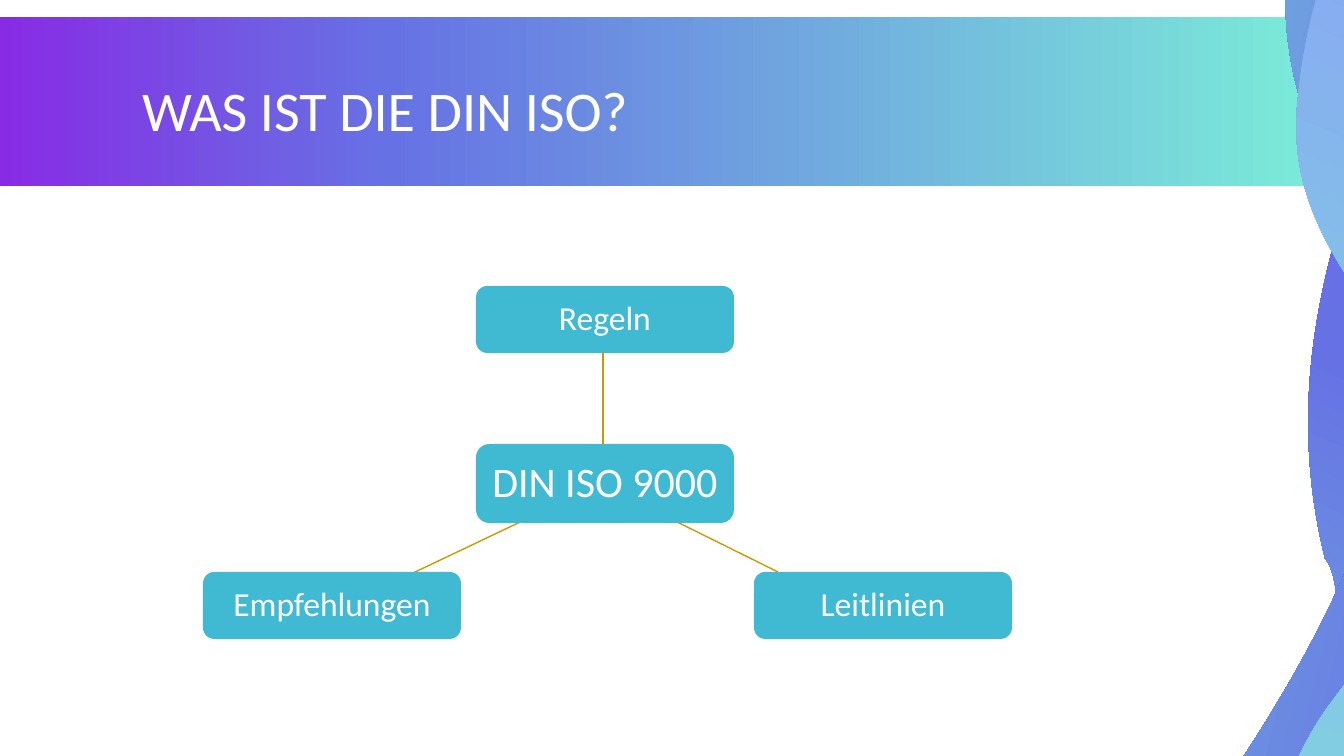
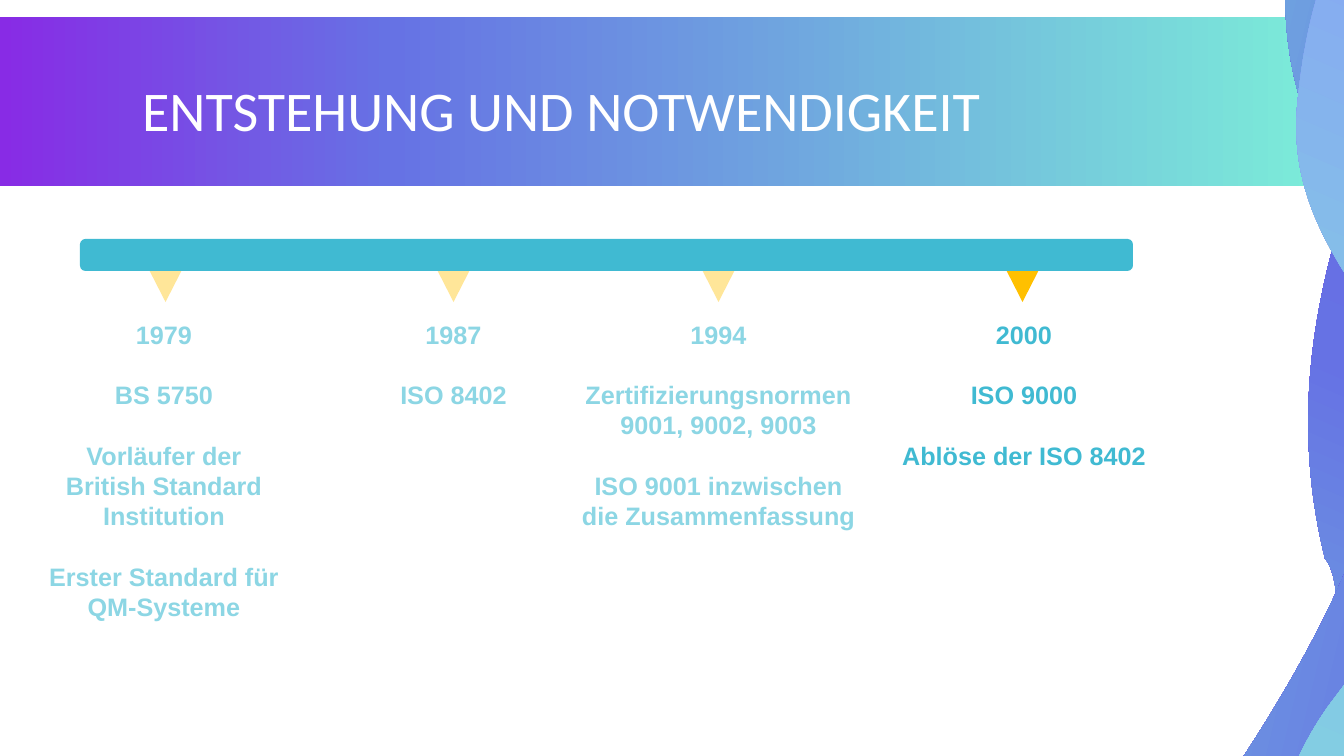
from math import cos, radians, sin

from lxml import etree
from pptx import Presentation
from pptx.dml.color import RGBColor
from pptx.enum.shapes import MSO_CONNECTOR, MSO_SHAPE
from pptx.enum.text import MSO_ANCHOR, MSO_AUTO_SIZE, PP_ALIGN
from pptx.oxml.ns import qn
from pptx.util import Pt

ROUNDED = MSO_SHAPE.ROUNDED_RECTANGLE
RECTANGLE = MSO_SHAPE.RECTANGLE
TRIANGLE = MSO_SHAPE.ISOSCELES_TRIANGLE
STRAIGHT = MSO_CONNECTOR.STRAIGHT
MIDDLE = MSO_ANCHOR.MIDDLE
CENTER, LEFT = PP_ALIGN.CENTER, PP_ALIGN.LEFT
FIXED = MSO_AUTO_SIZE.NONE

EMU_PER_PIXEL = 914400 / 100.8
PAGE_WIDTH, PAGE_HEIGHT = 1344, 756
TITLE_ONLY = 5
WAVE_TILT = 23.4

TEAL, PALE_TEAL = "40BAD2", "8CD6E4"
GOLD, PALE_GOLD, DARK_GOLD = "FFC000", "FFE699", "CC9A00"
WHITE = "FFFFFF"
VIOLET, BLUE, MINT = "882BE5", "6672E4", "7CEFD8"

BAND_STOPS = [(0, VIOLET), (29, BLUE), (100, MINT)]

# Each wave: untilted box, start point, cubic curves on the page,
# gradient stops and gradient angle
WAVES = [
    ((1401, -1242, 504, 2484), (1241, 1075),
     [((1241, 1075), (1287, 1195), (1598, 620)),
      ((1908, 44), (1866, -247), (1850, -348)),
      ((1833, -449), (1833, -482), (1889, -684)),
      ((1944, -887), (2066, -1174), (1929, -1063)),
      ((1791, -952), (1683, -511), (1632, -385)),
      ((1582, -260), (1434, -66), (1387, 77)),
      ((1340, 220), (1278, 368), (1325, 559)),
      ((1325, 559), (1376, 603), (1267, 899)),
      ((1267, 899), (1208, 1067), (1241, 1075))],
     [(0, VIOLET), (66, BLUE), (100, MINT)], 270),
    ((1073, -341, 672, 1535), (1465, 925),
     [((1352, 1088), (1268, 1154), (1212, 1177)),
      ((1192, 1167), (1175, 1148), (1163, 1120)),
      ((1097, 968), (1240, 762), (1240, 762)),
      ((1575, 251), (1232, 250), (1293, -81)),
      ((1309, -168), (1332, -240), (1356, -296)),
      ((1365, -301), (1374, -306), (1385, -308)),
      ((1542, -353), (1464, -163), (1451, -20)),
      ((1438, 124), (1448, 150), (1505, 236)),
      ((1561, 322), (1715, 568), (1465, 925))],
     [(0, VIOLET), (42, BLUE), (100, MINT)], 190),
    ((1098, -125, 730, 1171), (1334, 699),
     [((1586, 368), (1275, 333), (1297, 103)),
      ((1319, -127), (1434, -178), (1479, -164)),
      ((1523, -150), (1545, -120), (1524, -34)),
      ((1503, 52), (1641, 96), (1736, 127)),
      ((1831, 157), (1926, 306), (1788, 440)),
      ((1649, 575), (1656, 567), (1638, 747)),
      ((1620, 925), (1530, 980), (1530, 980)),
      ((1530, 980), (1376, 1061), (1300, 947)),
      ((1226, 832), (1334, 699), (1334, 699))],
     [(0, "878CFF"), (46, "85C1E7"), (100, "80DEDE")], 270),
]


def px(pixels):
    return round(pixels * EMU_PER_PIXEL)


def color(value):
    return RGBColor.from_string(value)


def untilt(point, box):
    """Turn a page point back by the tilt, measured from the box corner."""
    left, top, width, height = box
    x = point[0] - left - width / 2
    y = point[1] - top - height / 2
    tilt = radians(WAVE_TILT)
    return (round(x * cos(tilt) + y * sin(tilt) + width / 2),
            round(y * cos(tilt) - x * sin(tilt) + height / 2))


class Painter:
    def __init__(self, deck):
        self.deck = deck
        self.page = None

    def start_page(self, title):
        layout = self.deck.slide_layouts[TITLE_ONLY]
        self.page = self.deck.slides.add_slide(layout)
        band = self.shape(RECTANGLE, 0, 17, PAGE_WIDTH, 169)
        self.gradient(band, BAND_STOPS, 0)
        for wave in WAVES:
            self.wave(*wave)
        self.title(title)

    def title(self, text):
        box = self.page.shapes.title
        box.left, box.top, box.width, box.height = map(px, (132, 31, 1079, 166))
        frame = box.text_frame
        frame.text = text
        frame.auto_size = FIXED
        frame.vertical_anchor = MIDDLE
        self.style(frame, 40, WHITE, "Calibri", align=LEFT)
        frame.paragraphs[0].line_spacing = 0.85
        box.element.getparent().append(box.element)  # bring above the band

    def style(self, frame, size, hue, font, bold=False, align=CENTER):
        for para in frame.paragraphs:
            para.alignment = align
            for span in para.runs:
                span.font.size = Pt(size)
                span.font.name = font
                span.font.bold = bold
                span.font.color.rgb = color(hue)

    def shape(self, kind, left, top, width, height, fill=TEAL):
        shape = self.page.shapes.add_shape(
            kind, px(left), px(top), px(width), px(height))
        return self.plain(shape, fill)

    def plain(self, shape, fill):
        shape.shadow.inherit = False
        shape.line.fill.background()
        shape.fill.solid()
        shape.fill.fore_color.rgb = color(fill)
        return shape

    def gradient(self, shape, stops, angle):
        shape.fill.gradient()
        shape.fill.gradient_angle = angle
        stop_list = shape.element.spPr.find(qn("a:gradFill")).find(qn("a:gsLst"))
        for old in list(stop_list):
            stop_list.remove(old)
        for percent, hue in stops:
            stop = etree.SubElement(stop_list, qn("a:gs"), pos=str(percent * 1000))
            etree.SubElement(stop, qn("a:srgbClr"), val=hue)

    def wave(self, box, start, curves, stops, angle):
        # A freeform of the box size, whose outline becomes cubic curves
        left, top, width, height = box
        right, bottom = left + width, top + height
        builder = self.page.shapes.build_freeform(left, top, scale=EMU_PER_PIXEL)
        builder.add_line_segments([(right, top), (right, bottom), (left, bottom)])
        shape = self.plain(builder.convert_to_shape(), BLUE)
        outline = next(shape.element.spPr.iter(qn("a:path")))
        for segment in list(outline):
            outline.remove(segment)
        for tag, points in [("a:moveTo", [start])] + [
                ("a:cubicBezTo", curve) for curve in curves]:
            segment = etree.SubElement(outline, qn(tag))
            for point in points:
                x, y = untilt(point, box)
                etree.SubElement(segment, qn("a:pt"), x=str(x), y=str(y))
        etree.SubElement(outline, qn("a:close"))
        shape.rotation = WAVE_TILT
        self.gradient(shape, stops, angle)

    def card(self, text, left, top, height=67, size=24, inset=10):
        card = self.shape(ROUNDED, left, top, 258, height)
        card.adjustments[0] = 0.17
        frame = card.text_frame
        frame.text = text
        frame.word_wrap = True
        frame.vertical_anchor = MIDDLE
        frame.margin_left = frame.margin_right = px(inset)
        frame.margin_top = frame.margin_bottom = px(inset)
        self.style(frame, size, WHITE, "Calibri")
        frame.paragraphs[0].line_spacing = 0.9

    def link(self, x1, y1, x2, y2):
        link = self.page.shapes.add_connector(STRAIGHT, px(x1), px(y1), px(x2), px(y2))
        link.line.color.rgb = color(DARK_GOLD)
        link.line.width = Pt(1)
        etree.SubElement(link.element.spPr, qn("a:effectLst"))

    def marker(self, left, fill):
        self.shape(TRIANGLE, left, 256, 47, 46, fill).rotation = 180

    def milestone(self, lines, left, width, height, hue):
        box = self.page.shapes.add_textbox(px(left), px(314), px(width), px(height))
        frame = box.text_frame
        frame.text = "\n".join(lines)
        frame.word_wrap = True
        self.style(frame, 18, hue, "Arial", bold=True)
        for number, para in enumerate(frame.paragraphs):
            para.line_spacing = Pt(21.6)
            para.space_before = Pt(21.6 if number else 0)


deck = Presentation()
deck.slide_width, deck.slide_height = px(PAGE_WIDTH), px(PAGE_HEIGHT)
painter = Painter(deck)

# Slide 1: the standard and its three parts
painter.start_page("WAS IST DIE DIN ISO?")
for ends in [(535, 515, 411, 574), (659, 513, 778, 572), (603, 444, 603, 350)]:
    painter.link(*ends)
for name, left, top in [("Empfehlungen", 203, 572), ("Leitlinien", 754, 572),
                        ("Regeln", 476, 286)]:
    painter.card(name, left, top)
painter.card("DIN ISO 9000", 476, 444, height=79, size=30, inset=12)

# Slide 2: timeline
painter.start_page("ENTSTEHUNG UND NOTWENDIGKEIT")
MILESTONES = [
    (142, PALE_GOLD, PALE_TEAL, 37, 254, 346,
     ["1979", "BS 5750", "Vorläufer der British Standard Institution",
      "Erster Standard für QM-Systeme"]),
    (430, PALE_GOLD, PALE_TEAL, 342, 223, 102, ["1987", "ISO 8402"]),
    (695, PALE_GOLD, PALE_TEAL, 565, 307, 254,
     ["1994", "Zertifizierungsnormen 9001, 9002, 9003",
      "ISO 9001 inzwischen die Zusammenfassung"]),
    (999, GOLD, TEAL, 886, 276, 194,
     ["2000", "ISO 9000", "Ablöse der ISO 8402"]),
]
for marker_left, marker_fill, hue, left, width, height, lines in MILESTONES:
    painter.marker(marker_left, marker_fill)
    painter.milestone(lines, left, width, height, hue)
painter.shape(ROUNDED, 80, 239, 1053, 32)

deck.save("out.pptx")
